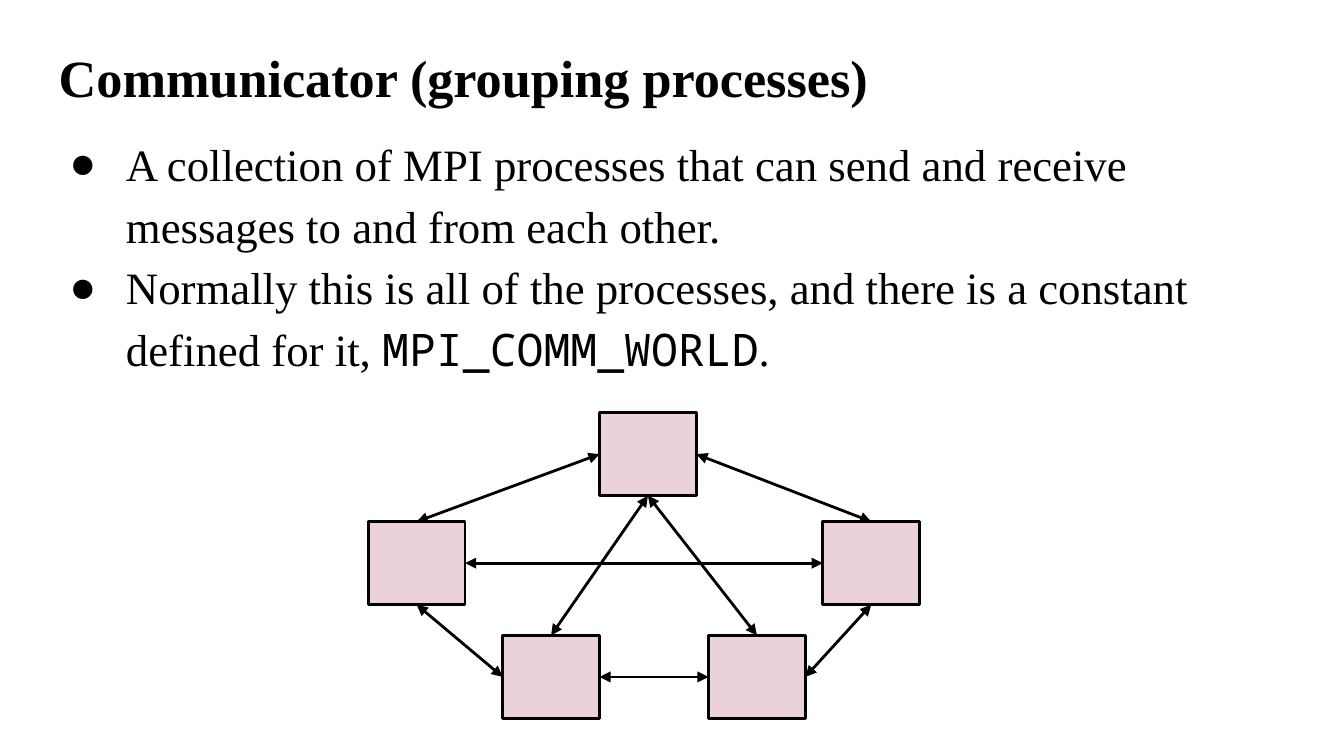
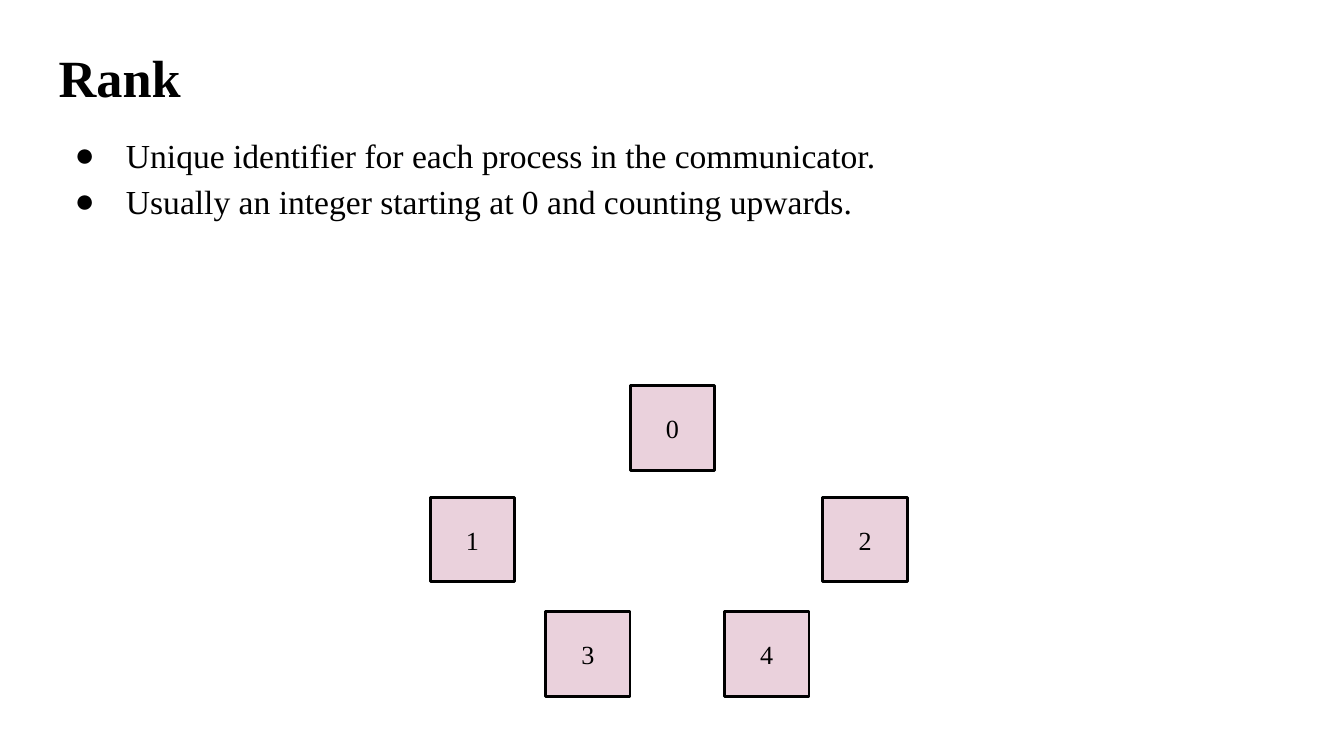
from lxml import etree
from pptx import Presentation
from pptx.dml.color import RGBColor
from pptx.enum import shapes, text
from pptx.oxml import ns
from pptx.util import Cm, Pt

COLORS = {"ink": "000000", "process": "EAD1DC", "paper": "FFFFFF"}
SERIF, MONO = "Times New Roman", "Noto Sans Mono"
TOP, LEFT, BOTTOM, RIGHT = range(4)

# Processes are numbered by rank: 0 apex, 1 left, 2 right, 3 and 4 bottom.
# Each bullet is a list of (text, font) runs; positions are in cm.
SLIDES = [
    {
        "title": "Communicator (grouping processes)",
        "bullets": [
            [("A collection of MPI processes that can send and receive "
              "messages to and from each other.", SERIF)],
            [("Normally this is all of the processes, and there is a constant "
              "defined for it, ", SERIF), ("MPI_COMM_WORLD", MONO), (".", SERIF)],
        ],
        "size": 24, "hanging": 1.07,
        "box": (1.83, 1.57),
        "processes": [(11.33, 7.8), (6.96, 9.86), (15.55, 9.86),
                      (9.5, 12.01), (13.39, 12.01)],
        "labelled": False,
        "links": [(0, BOTTOM, 4, TOP), (0, BOTTOM, 3, TOP),
                  (1, BOTTOM, 3, LEFT), (0, LEFT, 1, TOP),
                  (2, TOP, 0, RIGHT), (2, BOTTOM, 4, RIGHT),
                  (4, LEFT, 3, RIGHT), (2, LEFT, 1, RIGHT)],
    },
    {
        "title": "Rank",
        "bullets": [
            [("Unique identifier for each process in the communicator.", SERIF)],
            [("Usually an integer starting at 0 and counting upwards.", SERIF)],
        ],
        "size": 18, "hanging": 0.97,
        "box": (1.6, 1.6),
        "processes": [(11.91, 7.29), (8.13, 9.4), (15.55, 9.4),
                      (10.31, 11.56), (13.69, 11.56)],
        "labelled": True,
        "links": [],
    },
]


def rgb(name):
    return RGBColor.from_string(COLORS[name])


def add_run(p, content, size, font=SERIF, bold=False):
    r = p.add_run()
    r.text = content
    r.font.size, r.font.name, r.font.bold = Pt(size), font, bold
    r.font.color.rgb = rgb("ink")


def prepare_frame(sp, anchor):
    tf = sp.text_frame
    tf.word_wrap = True
    tf.auto_size = text.MSO_AUTO_SIZE.NONE
    tf.vertical_anchor = anchor
    tf.margin_left = tf.margin_right = tf.margin_top = tf.margin_bottom = Cm(0.25)
    return tf


def place_placeholder(sp, top, height):
    sp.left, sp.top, sp.width, sp.height = Cm(0.86), Cm(top), Cm(23.67), Cm(height)
    return prepare_frame(sp, text.MSO_ANCHOR.TOP)


def add_bullet(p, hanging):
    pPr = p._p.get_or_add_pPr()
    pPr.set("marL", str(Cm(1.27)))
    pPr.set("indent", str(-Cm(hanging)))
    color = etree.SubElement(pPr, ns.qn("a:buClr"))
    etree.SubElement(color, ns.qn("a:srgbClr"), val=COLORS["ink"])
    etree.SubElement(pPr, ns.qn("a:buFont"), typeface=SERIF)
    etree.SubElement(pPr, ns.qn("a:buChar"), char="●")


def add_title(s, title):
    p = place_placeholder(s.shapes.title, 0.61, 1.6).paragraphs[0]
    p.alignment = text.PP_ALIGN.LEFT
    add_run(p, title, 28, bold=True)


def add_bullets(s, bullets, size, hanging):
    tf = place_placeholder(s.placeholders[1], 2.18, 11.4)
    for i, runs in enumerate(bullets):
        p = tf.add_paragraph() if i else tf.paragraphs[0]
        add_bullet(p, hanging)
        p.line_spacing, p.space_before = 1.15, Pt(0)
        for content, font in runs:
            add_run(p, content, size, font=font)


def outline(sp):
    sp.line.color.rgb = rgb("ink")
    sp.line.width = Pt(1.5)


def add_process(s, position, box, label):
    sp = s.shapes.add_shape(shapes.MSO_SHAPE.RECTANGLE,
                            *(Cm(v) for v in position + box))
    sp.shadow.inherit = False
    sp.fill.solid()
    sp.fill.fore_color.rgb = rgb("process")
    outline(sp)
    if label:
        p = prepare_frame(sp, text.MSO_ANCHOR.MIDDLE).paragraphs[0]
        p.alignment = text.PP_ALIGN.CENTER
        add_run(p, label, 14)
    return sp


def add_link(s, start, start_side, end, end_side):
    """Join two processes with a double-headed arrow."""
    link = s.shapes.add_connector(shapes.MSO_CONNECTOR.STRAIGHT, 0, 0, 0, 0)
    link.begin_connect(start, start_side)
    link.end_connect(end, end_side)
    outline(link)
    ln = link.line._get_or_add_ln()
    for tag in ("a:headEnd", "a:tailEnd"):
        etree.SubElement(ln, ns.qn(tag), type="triangle")
    etree.SubElement(link._element.spPr, ns.qn("a:effectLst"))


def build_slide(prs, content):
    s = prs.slides.add_slide(prs.slide_layouts[1])
    s.background.fill.solid()
    s.background.fill.fore_color.rgb = rgb("paper")
    add_title(s, content["title"])
    add_bullets(s, content["bullets"], content["size"], content["hanging"])
    processes = [
        add_process(s, position, content["box"],
                    str(rank) if content["labelled"] else "")
        for rank, position in enumerate(content["processes"])
    ]
    for start, start_side, end, end_side in content["links"]:
        add_link(s, processes[start], start_side, processes[end], end_side)


def main():
    prs = Presentation()
    prs.slide_width, prs.slide_height = Cm(25.4), Cm(14.29)
    for content in SLIDES:
        build_slide(prs, content)
    prs.save("out.pptx")


if __name__ == "__main__":
    main()
